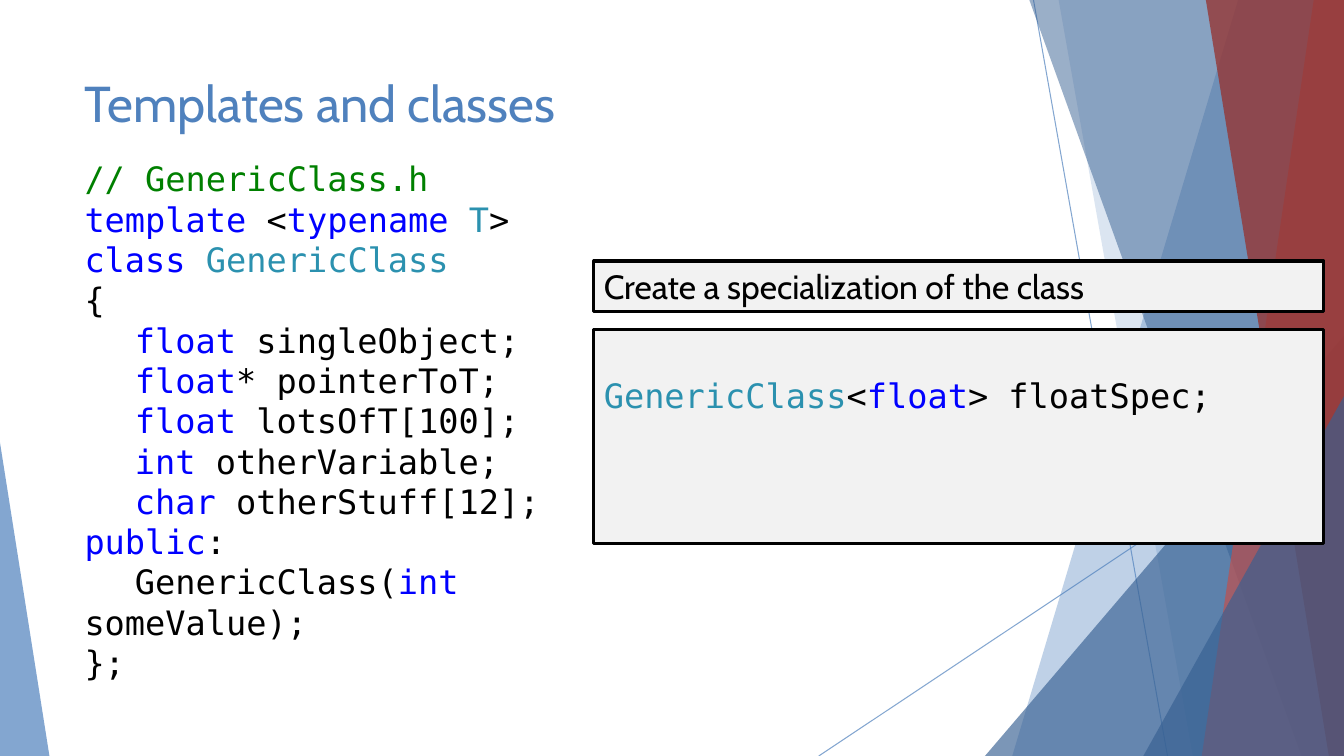
from dataclasses import dataclass

from lxml.etree import SubElement
from pptx import Presentation
from pptx.dml.color import RGBColor
from pptx.enum.shapes import MSO_CONNECTOR as Connector, MSO_SHAPE as Preset
from pptx.enum.text import MSO_ANCHOR as Anchor, MSO_AUTO_SIZE as AutoSize, PP_ALIGN as Align
from pptx.oxml.ns import qn
from pptx.util import Inches, Length, Pt

BLUE = RGBColor(0x4F, 0x81, 0xBD)
DARK_BLUE = RGBColor(0x37, 0x60, 0x92)
RED = RGBColor(0xC0, 0x50, 0x4D)
DARK_RED = RGBColor(0x95, 0x37, 0x35)
PANEL_GRAY = RGBColor(0xF2, 0xF2, 0xF2)
BLACK = RGBColor(0, 0, 0)
COMMENT = RGBColor(0, 0x80, 0)
KEYWORD = RGBColor(0, 0, 0xFF)
TYPE = RGBColor(0x2B, 0x91, 0xAF)

HEADING_FONT = "Cabin"
CODE_FONT = "DejaVu Sans Mono"
CODE_PITCH = Pt(28.8)
WIDTH, HEIGHT = Inches(13.33), Inches(7.5)


@dataclass
class Box:
    """A rectangle in percent of the slide's width and height."""
    left: float
    top: float
    width: float
    height: float

    def lengths(self) -> tuple:
        return across(self.left), down(self.top), across(self.width), down(self.height)


@dataclass
class Ray:
    """A thin line between two points, in percent of the slide."""
    start: tuple
    end: tuple


@dataclass
class Band:
    """A facet from a slanted left edge to the slide's right edge."""
    top_left: float
    bottom_left: float
    color: RGBColor
    opacity: int


@dataclass
class Wedge:
    """A right-angled triangle; apex 0 is at its left, 1 at its right."""
    box: Box
    apex: int
    color: RGBColor
    opacity: int


@dataclass
class Span:
    text: str
    color: RGBColor = BLACK


@dataclass
class Line:
    spans: list
    indented: bool = False


DECORATION = [
    Ray((76.9, 0), (86.87, 100)),
    Ray((100, 53.73), (60.92, 100)),
    Band(92.12, 75.32, BLUE, 36),
    Band(78.77, 88.75, BLUE, 20),
    Wedge(Box(73.29, 44.4, 26.71, 55.6), 1, DARK_BLUE, 66),
    Band(76.59, 96.85, DARK_BLUE, 50),
    Band(97.75, 89.42, RED, 70),
    Band(89.72, 98.87, DARK_RED, 80),
    Wedge(Box(85.07, 52.4, 14.93, 47.6), 1, DARK_BLUE, 66),
    Wedge(Box(0, 58.53, 3.68, 41.47), 0, BLUE, 70),
]


def member(keyword: str, rest: str) -> Line:
    return Line([Span(keyword, KEYWORD), Span(rest)], indented=True)


CLASS_CODE = [
    Line([Span("// GenericClass.h", COMMENT)]),
    Line([Span("template ", KEYWORD), Span("<"), Span("typename ", KEYWORD),
          Span("T", TYPE), Span(">")]),
    Line([Span("class ", KEYWORD), Span("GenericClass", TYPE)]),
    Line([Span("{")]),
    member("float ", "singleObject;"),
    member("float", "* pointerToT;"),
    member("float ", "lotsOfT[100];"),
    member("int ", "otherVariable;"),
    member("char ", "otherStuff[12];"),
    Line([Span("public", KEYWORD), Span(":")]),
    Line([Span("GenericClass("), Span("int ", KEYWORD), Span("someValue);")], indented=True),
    Line([Span("};")]),
]
USAGE_CODE = [Line([Span("GenericClass", TYPE), Span("<"), Span("float", KEYWORD),
                    Span("> floatSpec;")])]


def across(percent: float) -> Length:
    return Length(round(WIDTH * percent / 100))


def down(percent: float) -> Length:
    return Length(round(HEIGHT * percent / 100))


def set_opacity(element, opacity: int) -> None:
    color = next(element.iter(qn("a:srgbClr")))
    SubElement(color, qn("a:alpha"), val=str(opacity * 1000))


def write(shape, lines: list, *, font: str, size: float = 24, anchor=Anchor.TOP,
          pitch=None, top_inset: float = 0.05) -> None:
    frame = shape.text_frame
    frame.word_wrap = True
    frame.auto_size = AutoSize.NONE
    frame.vertical_anchor = anchor
    frame.margin_left = frame.margin_right = Inches(0.1)
    frame.margin_top, frame.margin_bottom = Inches(top_inset), Inches(0.05)
    for index, line in enumerate(lines):
        paragraph = frame.add_paragraph() if index else frame.paragraphs[0]
        paragraph.alignment = Align.LEFT
        if pitch:
            paragraph.line_spacing = pitch
        if line.indented:
            paragraph._p.get_or_add_pPr().set("indent", str(Inches(0.5)))
        for span in line.spans:
            run = paragraph.add_run()
            run.text = span.text
            run.font.name, run.font.size = font, Pt(size)
            run.font.color.rgb = span.color


def draw_ray(slide, ray: Ray) -> None:
    (x1, y1), (x2, y2) = ray.start, ray.end
    connector = slide.shapes.add_connector(Connector.STRAIGHT, across(x1), down(y1),
                                           across(x2), down(y2))
    connector.line.color.rgb = BLUE
    connector.line.width = Pt(0.75)
    set_opacity(connector._element.spPr, 70)
    SubElement(connector._element.spPr, qn("a:effectLst"))


def draw_facet(slide, facet: Band | Wedge) -> None:
    if isinstance(facet, Band):
        builder = slide.shapes.build_freeform(across(facet.top_left), 0)
        builder.add_line_segments([(WIDTH, 0), (WIDTH, HEIGHT),
                                   (across(facet.bottom_left), HEIGHT)])
        shape = builder.convert_to_shape()
    else:
        shape = slide.shapes.add_shape(Preset.ISOSCELES_TRIANGLE, *facet.box.lengths())
        shape.adjustments[0] = facet.apex
    shape.shadow.inherit = False
    shape.fill.solid()
    shape.fill.fore_color.rgb = facet.color
    set_opacity(shape._element.spPr, facet.opacity)
    shape.line.fill.background()


def add_panel(slide, box: Box):
    panel = slide.shapes.add_shape(Preset.RECTANGLE, *box.lengths())
    panel.shadow.inherit = False
    panel.fill.solid()
    panel.fill.fore_color.rgb = PANEL_GRAY
    panel.line.color.rgb = BLACK
    panel.line.width = Pt(2.25)
    return panel


def main() -> None:
    presentation = Presentation()
    presentation.slide_width, presentation.slide_height = WIDTH, HEIGHT
    slide = presentation.slides.add_slide(presentation.slide_layouts[5])

    # Faceted background
    for part in DECORATION:
        draw = draw_ray if isinstance(part, Ray) else draw_facet
        draw(slide, part)

    # Title
    title = slide.shapes.title
    title.left, title.top, title.width, title.height = Box(5.55, 8.93, 70.52, 11.33).lengths()
    write(title, [Line([Span("Templates and classes", BLUE)])], font=HEADING_FONT, size=36)

    # Class listing
    listing = slide.shapes.add_textbox(*Box(5.55, 20.27, 44.56, 66).lengths())
    write(listing, CLASS_CODE, font=CODE_FONT, pitch=CODE_PITCH)

    # Specialization panels
    usage = add_panel(slide, Box(44.19, 43.6, 54.31, 28.27))
    write(usage, USAGE_CODE, font=CODE_FONT, pitch=CODE_PITCH, top_inset=0.45)
    caption = add_panel(slide, Box(44.19, 34.53, 54.31, 6.67))
    write(caption, [Line([Span("Create a specialization of the class")])],
          font=HEADING_FONT, anchor=Anchor.MIDDLE)

    presentation.save("out.pptx")


if __name__ == "__main__":
    main()
